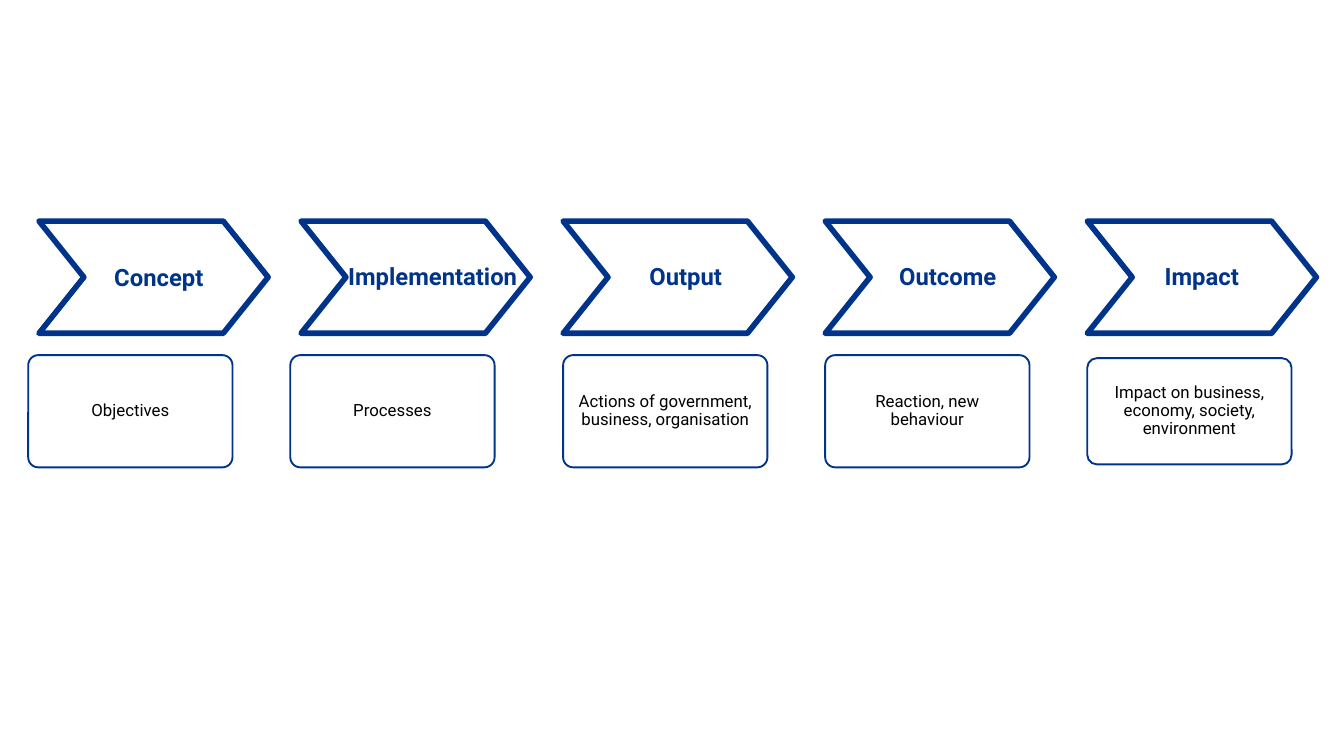
from dataclasses import dataclass

from lxml.etree import SubElement
from pptx import Presentation
from pptx.dml.color import RGBColor
from pptx.enum.shapes import MSO_SHAPE as Shape
from pptx.enum.text import MSO_ANCHOR as Anchor, MSO_AUTO_SIZE as AutoSize, PP_ALIGN as Align
from pptx.oxml.ns import qn
from pptx.util import Inches, Pt


@dataclass(frozen=True)
class Theme:
    font: str = "Roboto"
    blue: RGBColor = RGBColor(0x00, 0x34, 0x8A)
    white: RGBColor = RGBColor(0xFF, 0xFF, 0xFF)
    black: RGBColor = RGBColor(0x00, 0x00, 0x00)
    label_size: float = 25.5
    card_size: float = 18
    chevron_line: float = 6
    card_line: float = 2


# Content: label, its (left, top, width) within the stage, card text, card left, card height
STAGES = [
    ("Concept", (0.85, 3.86, 1.87), "Objectives", -0.16, 1.67),
    ("Implementation", (0.46, 3.84, 3), "Processes", -0.16, 1.67),
    ("Output", (0.89, 3.84, 1.87), "Actions of government, business, organisation", 0, 1.67),
    ("Outcome", (0.89, 3.84, 1.87), "Reaction, new behaviour", 0, 1.67),
    ("Impact", (0.77, 3.84, 1.87), "Impact on business, economy, society, environment", 0, 1.58),
]

# Grid, in inches
LEFT, PITCH = 0.58, 3.9
CHEVRON_TOP, CHEVRON_W, CHEVRON_H = 3.29, 3.41, 1.67
CARD_MIDDLE, CARD_W = 6.12, 3.04
LABEL_H = 0.54

theme = Theme()


def add_outline(shapes, kind, box, adjust, line_width):
    shape = shapes.add_shape(kind, *map(Inches, box))
    shape.adjustments[0] = adjust
    shape.shadow.inherit = False
    shape.fill.solid()
    shape.fill.fore_color.rgb = theme.white
    shape.line.color.rgb = theme.blue
    shape.line.width = Pt(line_width)
    return shape


def write(tf, text, size, color, bold=False):
    tf.text = text
    p = tf.paragraphs[0]
    p.alignment = Align.CENTER
    font = p.runs[0].font
    font.name, font.size, font.bold = theme.font, Pt(size), bold
    font.color.rgb = color
    return p


def add_card(shapes, x, height, text):
    box = (x, CARD_MIDDLE - height / 2, CARD_W, height)
    card = add_outline(shapes, Shape.ROUNDED_RECTANGLE, box, 0.09, theme.card_line)
    color = card.fill._xPr.find(qn("a:solidFill"))[0]
    SubElement(color, qn("a:alpha"), val="90000")
    tf = card.text_frame
    tf.word_wrap = True
    tf.vertical_anchor = Anchor.MIDDLE
    tf.margin_left = tf.margin_right = tf.margin_top = tf.margin_bottom = Inches(0.14)
    write(tf, text, theme.card_size, theme.black).line_spacing = 0.9


def add_label(shapes, x, y, width, text):
    tf = shapes.add_textbox(*map(Inches, (x, y, width, LABEL_H))).text_frame
    tf.word_wrap = True
    tf.auto_size = AutoSize.SHAPE_TO_FIT_TEXT
    write(tf, text, theme.label_size, theme.blue, bold=True)


def main():
    prs = Presentation()
    prs.slide_width, prs.slide_height = Inches(20), Inches(11.25)
    s = prs.slides.add_slide(prs.slide_layouts[6])
    shapes = s.shapes.add_group_shape().shapes
    columns = [(LEFT + i * PITCH, *stage) for i, stage in enumerate(STAGES)]

    # Description cards
    for x, _, _, text, offset, height in columns:
        add_card(shapes, x + offset, height, text)

    # Process chevrons
    for x, *_ in columns:
        add_outline(shapes, Shape.CHEVRON, (x, CHEVRON_TOP, CHEVRON_W, CHEVRON_H),
                    0.4, theme.chevron_line)

    # Stage labels
    for x, label, (offset, top, width), *_ in columns:
        add_label(shapes, x + offset, top, width, label)

    prs.save("out.pptx")


if __name__ == "__main__":
    main()
